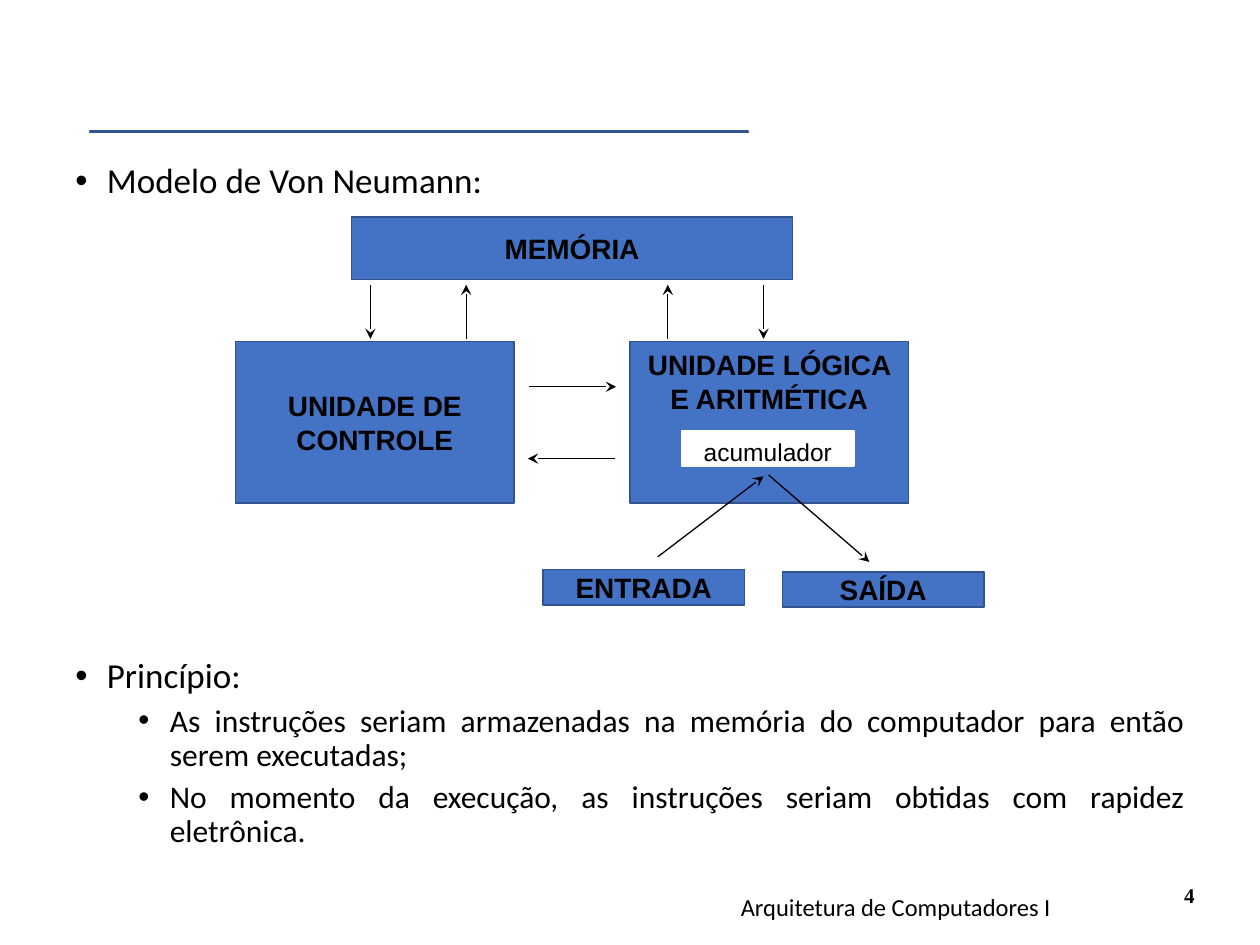
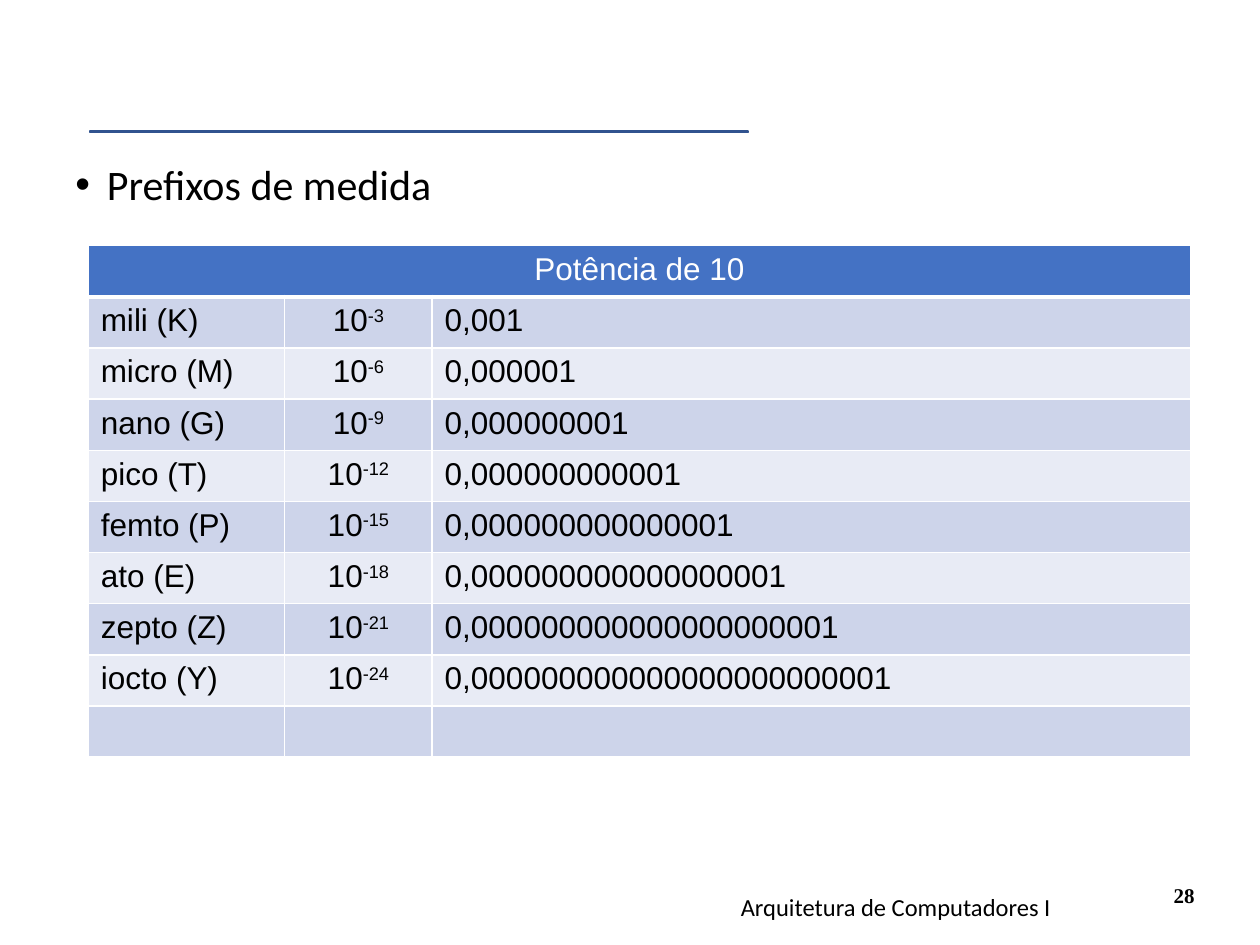
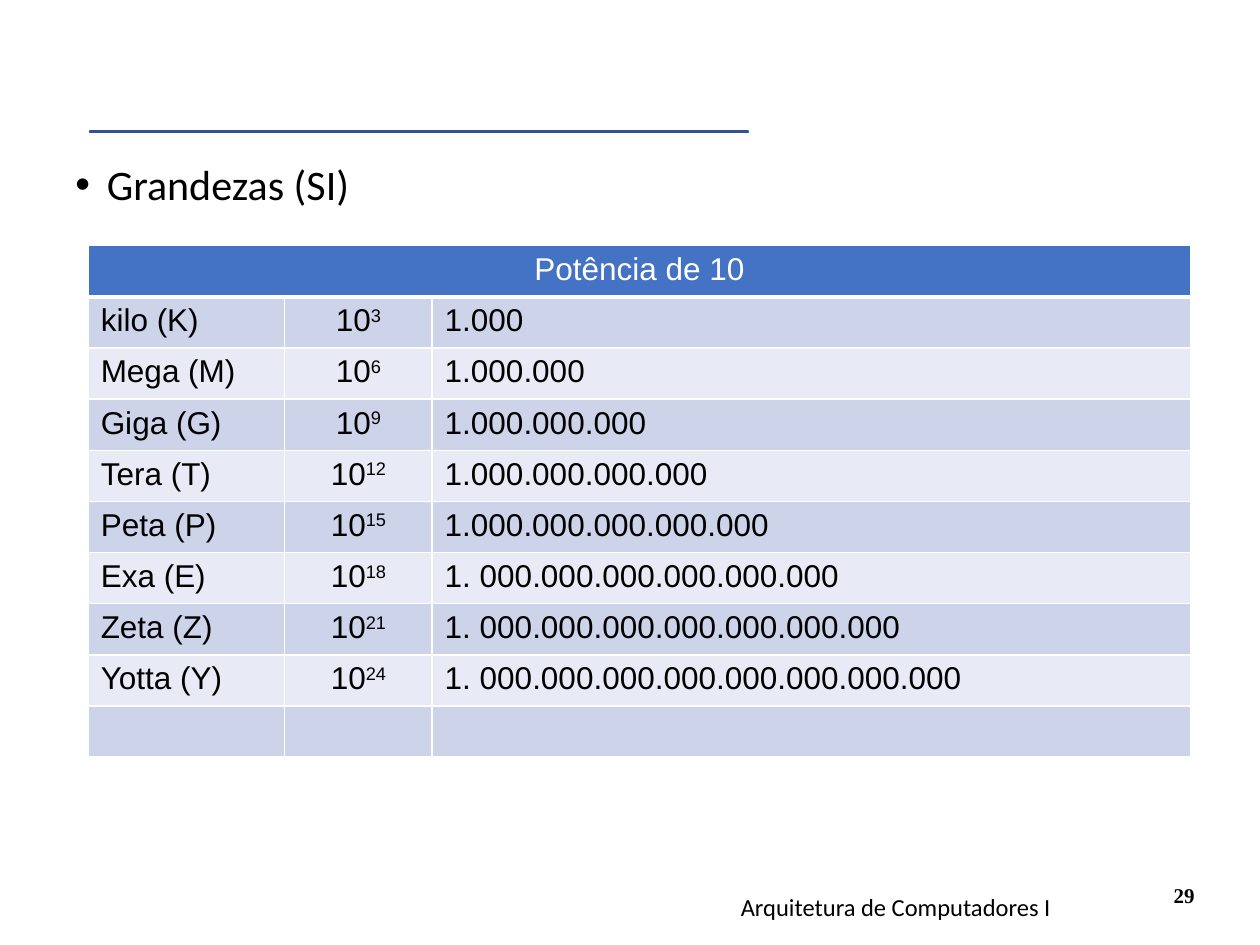
from pptx import Presentation, util as u
from pptx.dml.color import RGBColor
from pptx.enum import shapes, text
from pptx.oxml import parse_xml
from pptx.oxml.ns import nsdecls

# Colours and shared formats
BLUE = RGBColor(0x44, 0x72, 0xC4)
DARK_BLUE = RGBColor(0x31, 0x53, 0x8F)
BAND_DARK = RGBColor(0xCD, 0xD4, 0xEA)
BAND_LIGHT = RGBColor(0xE8, 0xEB, 0xF5)
BLACK = RGBColor(0, 0, 0)
WHITE = RGBColor(0xFF, 0xFF, 0xFF)

LABEL = {"name": "Arial", "size": u.Pt(16), "bold": True}
REGISTER = {"name": "Arial", "size": u.Pt(14)}
CELL = {"name": "Arial", "size": u.Pt(18), "bold": False}
FOOTER = {"name": "Calibri", "size": u.Pt(14)}
NUMBER = {"name": "Times New Roman", "size": u.Pt(12), "bold": True}

ALIGN = text.PP_ALIGN
ANCHOR = text.MSO_ANCHOR

# Grid: 10 columns by 7.5 rows of square cells
SLIDE_WIDTH, SLIDE_HEIGHT = u.Inches(10), u.Inches(7.5)
GRID_CELL = SLIDE_WIDTH // 10
BODY = (0.5, 1.25, 9, 4.95)
TABLE = (0.7, 1.95, 8.75, 4.06)
TABLE_COLUMNS = (1.56, 1.17, 6.02)


def grid(*lengths):
    return [round(length * GRID_CELL) for length in lengths]


def apply_format(target, values):
    for name, value in values.items():
        setattr(target, name, value)


def add_run(paragraph, words, font, color=BLACK):
    run = paragraph.add_run()
    run.text = words
    apply_format(run.font, font)
    run.font.color.rgb = color
    return run


def add_text(slide, place, words, font, align, anchor=ANCHOR.TOP):
    frame = slide.shapes.add_textbox(*grid(*place)).text_frame
    apply_format(frame, {"word_wrap": True, "vertical_anchor": anchor})
    frame.paragraphs[0].alignment = align
    add_run(frame.paragraphs[0], words, font)


def add_filled_shape(slide, kind, place, fill=BLUE, line=DARK_BLUE):
    shape = slide.shapes.add_shape(kind, *grid(*place))
    shape.shadow.inherit = False
    shape.fill.solid()
    shape.fill.fore_color.rgb = fill
    shape.line.color.rgb = line
    shape.line.width = u.Pt(1)
    return shape


def add_box(slide, place, words, anchor=ANCHOR.MIDDLE, font=LABEL, **colors):
    shape = add_filled_shape(slide, shapes.MSO_SHAPE.RECTANGLE, place, **colors)
    apply_format(shape.text_frame, {"word_wrap": True, "vertical_anchor": anchor})
    paragraph = shape.text_frame.paragraphs[0]
    paragraph.alignment = ALIGN.CENTER
    add_run(paragraph, words, font)


def add_arrow(slide, start, end):
    arrow = slide.shapes.add_connector(
        shapes.MSO_CONNECTOR.STRAIGHT, *grid(*start, *end))
    arrow.line.color.rgb = BLACK
    arrow.line.width = u.Pt(0.75)
    arrow.line._get_or_add_ln().append(
        parse_xml(f'<a:tailEnd {nsdecls("a")} type="stealth"/>'))
    arrow._element.spPr.append(parse_xml(f'<a:effectLst {nsdecls("a")}/>'))


def add_bullets(slide, items, align=ALIGN.LEFT):
    """Each item is (words, level, size, space before), the last two in points."""
    frame = slide.shapes.add_textbox(*grid(*BODY)).text_frame
    frame.word_wrap = True
    for index, (words, level, size, space) in enumerate(items):
        paragraph = frame.add_paragraph() if index else frame.paragraphs[0]
        apply_format(paragraph, {"level": level, "alignment": align,
                                 "line_spacing": 0.9, "space_before": u.Pt(space)})
        properties = paragraph._p.get_or_add_pPr()
        properties.set("marL", str(u.Inches(0.25 + 0.5 * level)))
        properties.set("indent", str(-u.Inches(0.25)))
        for bullet in ('buFont {} typeface="Arial"', 'buChar {} char="•"'):
            properties.append(parse_xml(f'<a:{bullet.format(nsdecls("a"))}/>'))
        add_run(paragraph, words, {"name": "Calibri", "size": u.Pt(size)})


def add_borders(cell, **widths):
    """Draw white borders on the sides L, R, T and B, in the order of the schema."""
    properties = cell._tc.get_or_add_tcPr()
    for position, side in enumerate("LRTB"):
        properties.insert(position, parse_xml(
            f'<a:ln{side} {nsdecls("a")} w="{u.Pt(widths.get(side, 1))}"><a:solidFill>'
            f'<a:srgbClr val="{WHITE}"/></a:solidFill></a:ln{side}>'))


def add_power_table(slide, rows):
    """Each row is (prefix, exponent, number); an empty row closes the table."""
    row_count = len(rows) + 2
    table = slide.shapes.add_table(row_count, 3, *grid(*TABLE)).table
    apply_format(table, {"first_row": False, "horz_banding": False})
    for column, width in zip(table.columns, grid(*TABLE_COLUMNS)):
        column.width = width

    # Fills and borders
    for index in range(row_count):
        fill = BAND_DARK if index % 2 else BAND_LIGHT
        for cell in table.rows[index].cells:
            cell.fill.solid()
            cell.fill.fore_color.rgb = fill if index else BLUE
            add_borders(cell, **({"T": 3} if index == 1 else {} if index else {"B": 3}))

    # Header
    header = table.cell(0, 0)
    header.merge(table.cell(0, 2))
    paragraph = header.text_frame.paragraphs[0]
    paragraph.alignment = ALIGN.CENTER
    add_run(paragraph, "Potência de 10", CELL, WHITE)

    # Powers
    for index, (prefix, exponent, number) in enumerate(rows, 1):
        name, power, value = [cell.text_frame.paragraphs[0]
                              for cell in table.rows[index].cells]
        add_run(name, prefix, CELL)
        power.alignment = ALIGN.CENTER
        add_run(power, "10", CELL)
        raised = add_run(power, str(exponent), CELL)
        raised._r.get_or_add_rPr().set("baseline", "30000")
        add_run(value, number, CELL)


def add_slide(presentation, number):
    """A blank slide with the title rule, the page number and the footer."""
    slide = presentation.slides.add_slide(presentation.slide_layouts[6])
    rule = add_filled_shape(slide, shapes.MSO_SHAPE.MATH_MINUS, (-0.23, 1.02, 7.11, 0.05))
    rule.adjustments[0] = 0.235
    add_text(slide, (7, 6.75, 2.58, 0.5), str(number), NUMBER, ALIGN.RIGHT, ANCHOR.BOTTOM)
    add_text(slide, (4.89, 7.03, 4.44, 0.5), "Arquitetura de Computadores I",
             FOOTER, ALIGN.CENTER)
    return slide


def add_von_neumann_slide(presentation):
    slide = add_slide(presentation, 4)
    diagram_gap = 261
    add_bullets(slide, [
        ("Modelo de Von Neumann:", 0, 20, 0),
        ("Princípio:", 0, 20, diagram_gap),
        ("As instruções seriam armazenadas na memória do computador "
         "para então serem executadas;", 1, 18, 5),
        ("No momento da execução, as instruções seriam obtidas "
         "com rapidez eletrônica.", 1, 18, 5),
    ], ALIGN.JUSTIFY)

    # Units of the machine
    add_box(slide, (2.79, 1.72, 3.5, 0.5), "MEMÓRIA")
    add_box(slide, (1.87, 2.71, 2.21, 1.28), "UNIDADE DE CONTROLE")
    add_box(slide, (5, 2.71, 2.21, 1.28), "UNIDADE LÓGICA E ARITMÉTICA", ANCHOR.TOP)
    add_box(slide, (5.41, 3.42, 1.37, 0.28), "acumulador", ANCHOR.TOP, REGISTER,
            fill=WHITE, line=WHITE)
    add_box(slide, (4.31, 4.52, 1.6, 0.28), "ENTRADA")
    add_box(slide, (6.21, 4.54, 1.6, 0.28), "SAÍDA")

    # Memory to units and back
    memory_edge, unit_edge = 2.26, 2.69
    for x in (2.94, 6.06):
        add_arrow(slide, (x, memory_edge), (x, unit_edge))
    for x in (3.7, 5.3):
        add_arrow(slide, (x, unit_edge), (x, memory_edge))

    # Between the units, then input and output
    add_arrow(slide, (4.2, 3.07), (4.89, 3.07))
    add_arrow(slide, (4.88, 3.64), (4.19, 3.64))
    add_arrow(slide, (5.22, 4.42), (6.06, 3.78))
    add_arrow(slide, (6.1, 3.77), (6.9, 4.46))


def add_prefix_slide(presentation, number, heading, rows):
    slide = add_slide(presentation, number)
    add_bullets(slide, [(heading, 0, 24, 0)])
    add_power_table(slide, rows)


def small_number(step):
    return "0," + "0" * (3 * step - 1) + "1"


def large_number(step):
    return ("1. " if step > 5 else "1.") + ".".join(["000"] * step)


def main():
    presentation = Presentation()
    apply_format(presentation, {"slide_width": SLIDE_WIDTH, "slide_height": SLIDE_HEIGHT})
    small = ("mili (K)", "micro (M)", "nano (G)", "pico (T)",
             "femto (P)", "ato (E)", "zepto (Z)", "iocto (Y)")
    large = ("kilo (K)", "Mega (M)", "Giga (G)", "Tera (T)",
             "Peta (P)", "Exa (E)", "Zeta (Z)", "Yotta (Y)")

    add_von_neumann_slide(presentation)
    add_prefix_slide(presentation, 28, "Prefixos de medida", [
        (prefix, -3 * step, small_number(step)) for step, prefix in enumerate(small, 1)])
    add_prefix_slide(presentation, 29, "Grandezas (SI)", [
        (prefix, 3 * step, large_number(step)) for step, prefix in enumerate(large, 1)])
    presentation.save("out.pptx")


if __name__ == "__main__":
    main()
